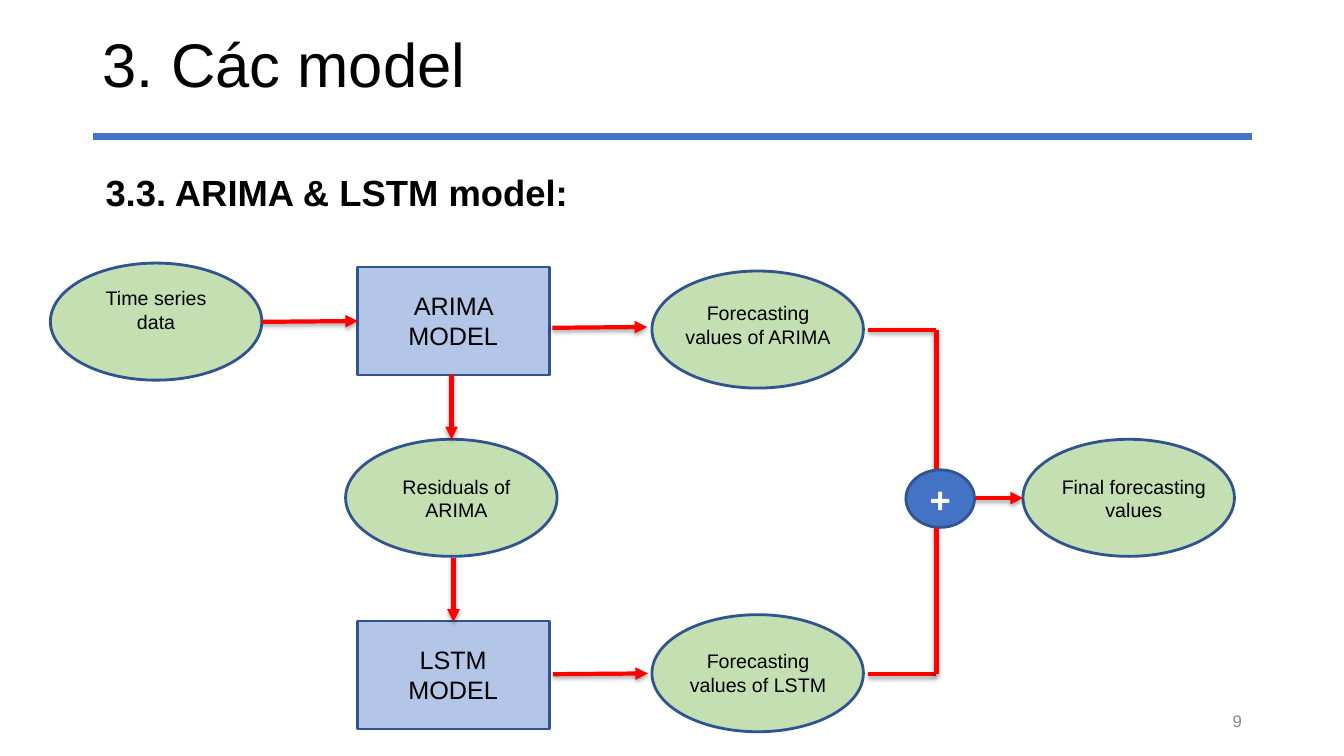
from lxml import etree
from pptx import Presentation
from pptx.dml.color import RGBColor
from pptx.enum.shapes import MSO_CONNECTOR, MSO_SHAPE
from pptx.enum.text import MSO_ANCHOR, PP_ALIGN
from pptx.oxml import parse_xml
from pptx.oxml.ns import nsdecls, qn
from pptx.util import Cm, Pt

RECT, OVAL = MSO_SHAPE.RECTANGLE, MSO_SHAPE.OVAL
STRAIGHT = MSO_CONNECTOR.STRAIGHT
LEFT, CENTER, RIGHT = PP_ALIGN.LEFT, PP_ALIGN.CENTER, PP_ALIGN.RIGHT
TOP, MIDDLE = MSO_ANCHOR.TOP, MSO_ANCHOR.MIDDLE

BLUE, RED, OUTLINE = "4472C4", "FF0000", "31538F"
MODEL_FILL, DATA_FILL = "B3C6E7", "C4E0B2"

SHADOW = (
    f'<a:effectLst {nsdecls("a")}>'
    '<a:outerShdw blurRad="40000" dist="23000" dir="5400000" rotWithShape="0">'
    '<a:srgbClr val="000000"><a:alpha val="35000"/></a:srgbClr>'
    '</a:outerShdw></a:effectLst>'
)


def rgb(color):
    return RGBColor.from_string(color)


def write(tf, text, size=14, color="000000", bold=False, align=CENTER,
          anchor=TOP, spacing=None):
    """Fill a text frame, one paragraph per line of text."""
    tf.word_wrap = True
    tf.vertical_anchor = anchor
    for i, line in enumerate(text.split("\n")):
        p = tf.paragraphs[0] if i == 0 else tf.add_paragraph()
        p.alignment = align
        if spacing:
            p.line_spacing = spacing
        r = p.add_run()
        r.text = line
        r.font.name = "Arial"
        r.font.size = Pt(size)
        r.font.bold = bold
        r.font.color.rgb = rgb(color)


def add_text(s, text, x, y, w, h, **fmt):
    box = s.shapes.add_textbox(Cm(x), Cm(y), Cm(w), Cm(h))
    write(box.text_frame, text, **fmt)


def add_node(s, kind, x, y, w, h, fill, outline=OUTLINE):
    sp = s.shapes.add_shape(kind, Cm(x), Cm(y), Cm(w), Cm(h))
    sp.shadow.inherit = False
    sp.fill.solid()
    sp.fill.fore_color.rgb = rgb(fill)
    sp.line.color.rgb = rgb(outline)
    sp.line.width = Pt(2)
    return sp


def add_line(s, x1, y1, x2, y2, color=RED, width=3, arrow=False, shadow=True):
    c = s.shapes.add_connector(STRAIGHT, Cm(x1), Cm(y1), Cm(x2), Cm(y2))
    c.line.color.rgb = rgb(color)
    c.line.width = Pt(width)
    if arrow:
        tail = etree.SubElement(c.line._get_or_add_ln(), qn("a:tailEnd"))
        tail.set("type", "triangle")
    sp_pr = c._element.spPr
    if shadow:
        sp_pr.append(parse_xml(SHADOW))
    else:
        etree.SubElement(sp_pr, qn("a:effectLst"))


def add_model(s, text, y):
    add_node(s, RECT, 9.02, y, 4.83, 2.72, MODEL_FILL)
    add_text(s, text, 9.68, y + 0.46, 3.48, 1.8, size=18)


def add_data(s, text, x, y, dx, dy, w=4.17, h=1.45):
    """Oval with its label set in by dx, dy."""
    add_node(s, OVAL, x, y, 5.33, 2.95, DATA_FILL)
    add_text(s, text, x + dx, y + dy, w, h)


def main():
    prs = Presentation()
    prs.slide_width, prs.slide_height = Cm(33.87), Cm(19.05)
    s = prs.slides.add_slide(prs.slide_layouts[6])

    # Header and page number
    add_line(s, 2.34, 3.45, 31.55, 3.45, color=BLUE, width=5, shadow=False)
    add_text(s, "3. Các model", 2.34, 0, 17.5, 3.43, size=44, align=LEFT,
             anchor=MIDDLE, spacing=0.9)
    add_text(s, "9", 23.93, 17.65, 7.62, 1.02, size=12, color="888888",
             align=RIGHT, anchor=MIDDLE)

    # Models
    add_model(s, "ARIMA MODEL", 6.73)
    add_model(s, "LSTM MODEL", 15.65)

    # Data and forecasts
    add_data(s, "Time series\ndata", 1.27, 6.63, 1.14, 0.46, w=3.05, h=2.06)
    add_data(s, "Residuals of ARIMA", 8.71, 11.07, 0.71, 0.77)
    add_data(s, "Forecasting values of ARIMA", 16.43, 6.83, 0.59, 0.64, h=2.06)
    add_data(s, "Forecasting values of LSTM", 16.43, 15.49, 0.59, 0.74)
    add_data(s, "Final forecasting values", 25.78, 11.07, 0.71, 0.77)

    # Arrows between the steps
    for ends in [
        (6.6, 8.11, 9.02, 8.09),
        (13.92, 8.26, 16.31, 8.24),
        (11.43, 14.05, 11.43, 15.67),
        (11.38, 9.45, 11.38, 11.07),
        (13.94, 16.99, 16.33, 16.97),
        (23.6, 12.55, 25.78, 12.55),
    ]:
        add_line(s, *ends, arrow=True)

    # Bracket that joins both forecasts
    join_x, top_y, bottom_y = 23.6, 8.31, 16.99
    for y in (top_y, bottom_y):
        add_line(s, 21.87, y, join_x, y)
    add_line(s, join_x, bottom_y, join_x, top_y)

    # Sum
    plus = add_node(s, OVAL, 22.83, 11.84, 1.73, 1.45, BLUE, "325491")
    write(plus.text_frame, "+", size=26, color="FFFFFF", bold=True,
          anchor=MIDDLE)

    # Section heading
    add_text(s, "3.3. ARIMA & LSTM model:", 2.41, 4.17, 12.34, 1.37, size=26,
             bold=True, align=LEFT)

    prs.save("out.pptx")


if __name__ == "__main__":
    main()
